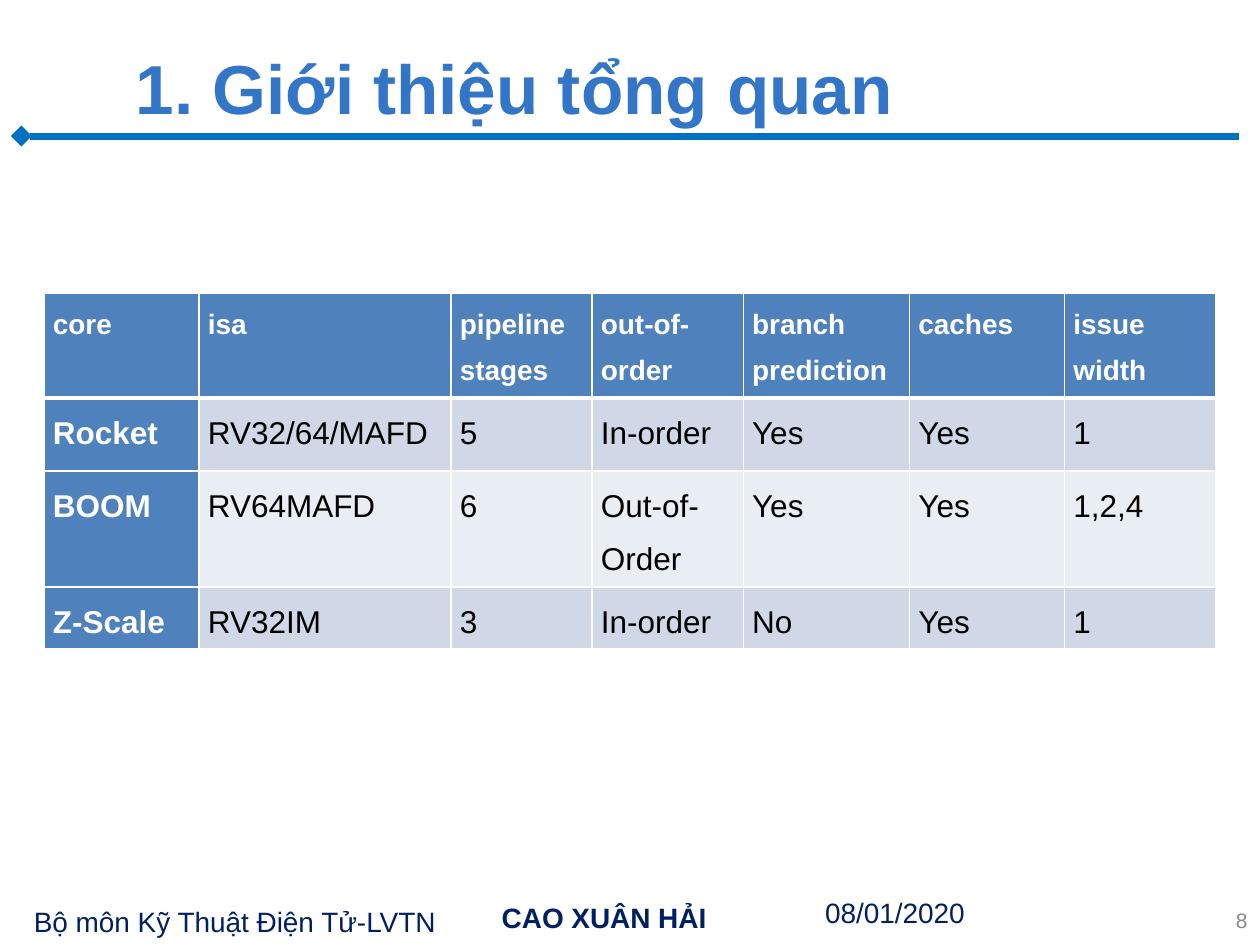
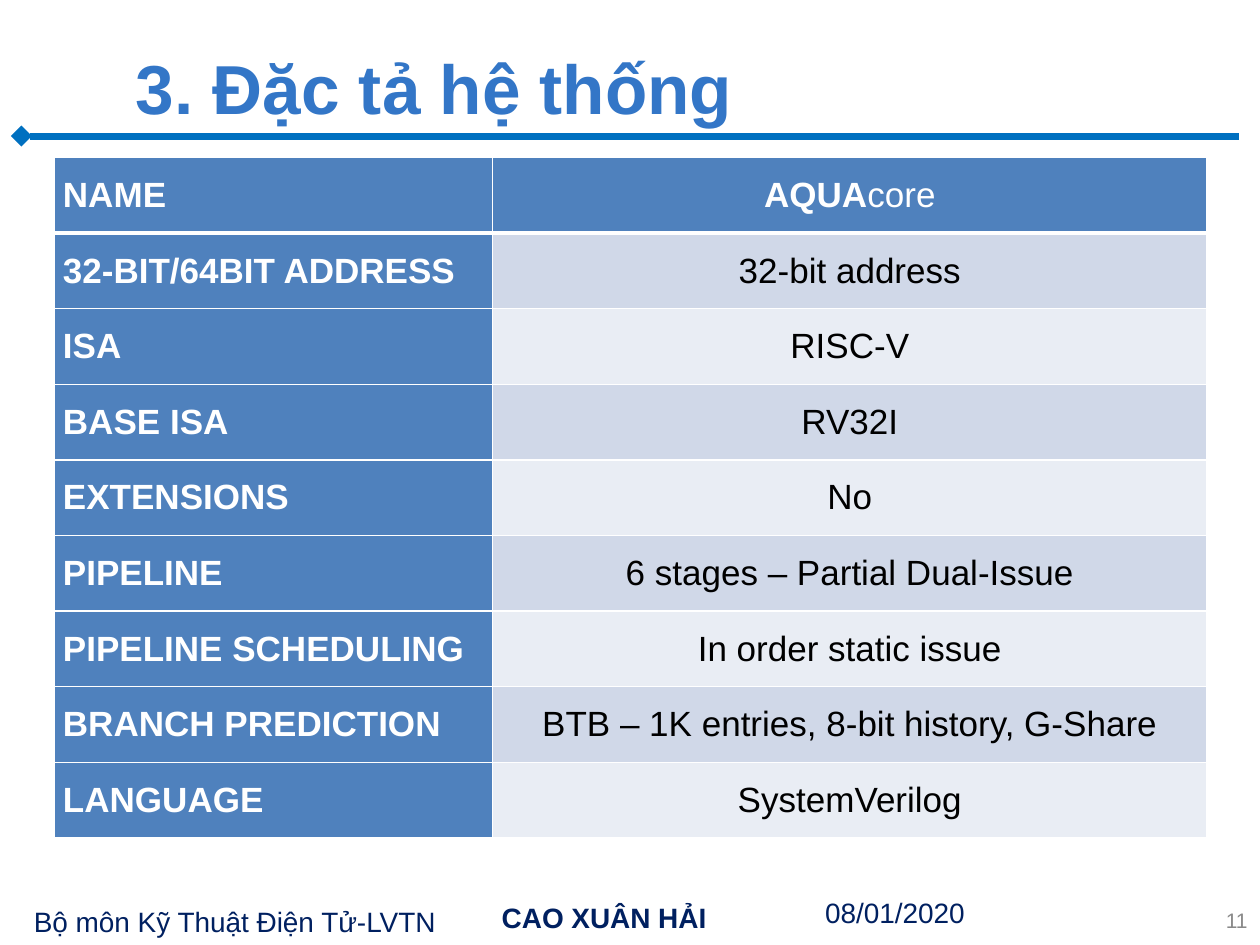
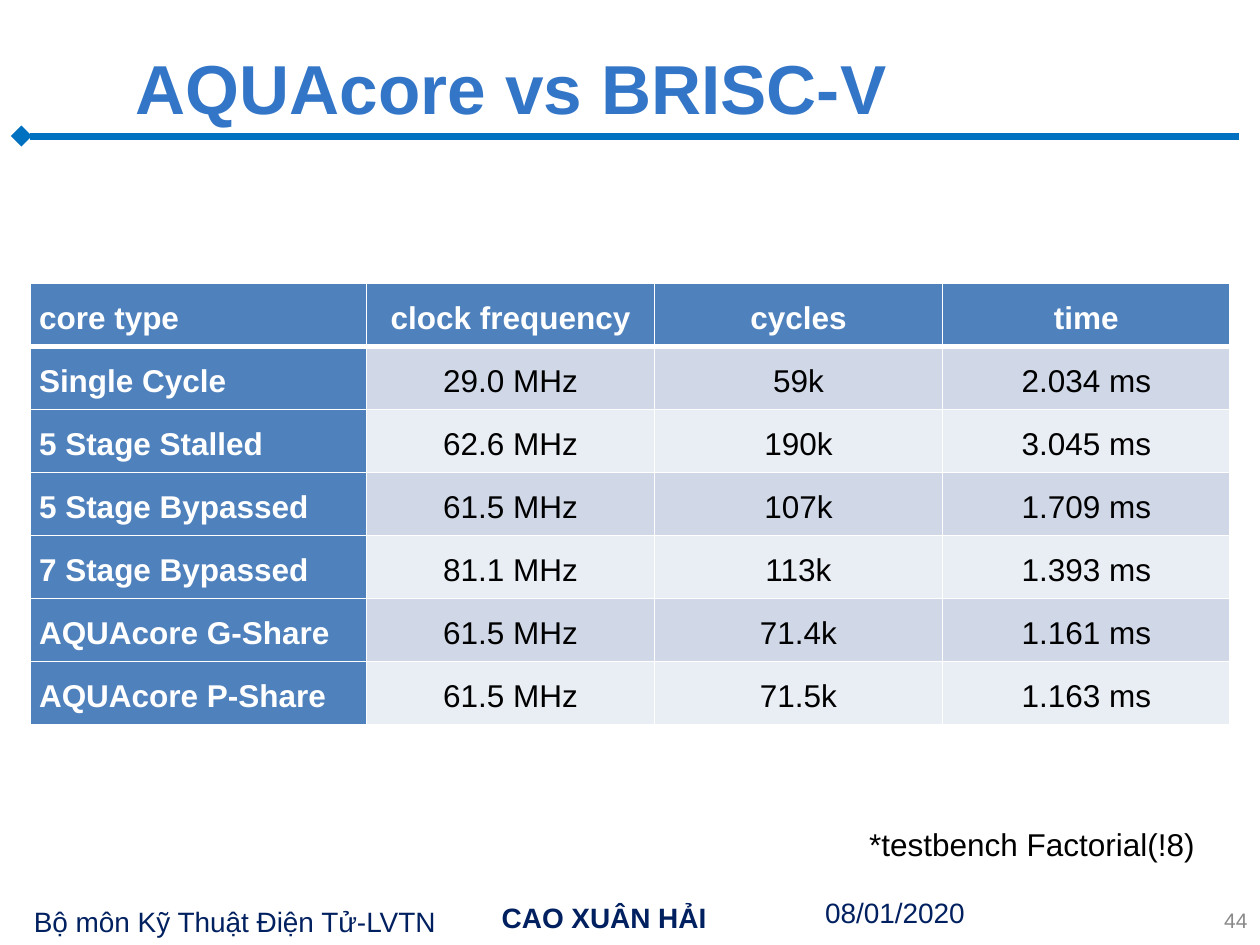
import dataclasses

import lxml.etree
import pptx
import pptx.dml.color
import pptx.enum.shapes
import pptx.enum.text
import pptx.oxml.ns
import pptx.util

ALIGN = pptx.enum.text.PP_ALIGN
ANCHOR = pptx.enum.text.MSO_ANCHOR
FIT = pptx.enum.text.MSO_AUTO_SIZE


@dataclasses.dataclass(frozen=True)
class Theme:
    font: str = "Arial"
    title: str = "3376C7"
    rule: str = "0070C0"
    footer: str = "002060"
    number: str = "898989"
    header: str = "4F81BD"
    bands: tuple = ("D0D8E8", "E9EDF4")
    light: str = "FFFFFF"
    dark: str = "000000"
    title_size: float = 39.6
    footer_size: int = 16
    number_size: int = 12
    small_cell: int = 16
    cell: int = 18
    large_cell: int = 20
    rule_width: int = 4
    border: int = 1
    header_border: int = 3


def rgb(value):
    return pptx.dml.color.RGBColor.from_string(value)


def add_xml(parent, tag, **attributes):
    return lxml.etree.SubElement(parent, pptx.oxml.ns.qn(tag), **attributes)


class Deck:
    """Holds the theme and the current slide; lengths are cells of a 40 x 30 grid."""

    COLUMNS, ROWS = 40, 30

    def __init__(self, theme):
        self.theme = theme
        self.file = pptx.Presentation()
        self.file.slide_width = pptx.util.Inches(10)
        self.file.slide_height = pptx.util.Inches(7.5)
        self.slide = None

    def x(self, columns):
        return round(self.file.slide_width * columns / self.COLUMNS)

    def y(self, rows):
        return round(self.file.slide_height * rows / self.ROWS)

    def add_slide(self, title, title_width, number):
        theme = self.theme
        self.slide = self.file.slides.add_slide(self.file.slide_layouts[6])
        self.rule(0.68, 39.32, 4.32)
        footers = (
            ("CAO XUÂN HẢI", (15.12, 28.4, 8.12, 1.48), ALIGN.CENTER, True),
            ("Bộ môn Kỹ Thuật Điện Tử-LVTN", (0.68, 28.52, 13.68, 1.48), ALIGN.LEFT, False),
            ("08/01/2020", (25.8, 28.24, 12, 1.48), ALIGN.LEFT, False),
        )
        for words, area, align, bold in footers:
            self.text(words, area, theme.footer_size, theme.footer, bold, align, grow=True)
        self.text(title, (3.92, 1.28, title_width, 2.96), theme.title_size, theme.title,
                  bold=True, anchor=ANCHOR.MIDDLE)
        self.text(str(number), (30.68, 28.4, 9.32, 1.6), theme.number_size, theme.number,
                  align=ALIGN.RIGHT, anchor=ANCHOR.MIDDLE)

    def rule(self, start, end, row):
        line = self.slide.shapes.add_connector(
            pptx.enum.shapes.MSO_CONNECTOR.STRAIGHT,
            self.x(start), self.y(row), self.x(end), self.y(row))
        line.line.color.rgb = rgb(self.theme.rule)
        line.line.width = pptx.util.Pt(self.theme.rule_width)
        add_xml(line.line._get_or_add_ln(), "a:headEnd", type="diamond")
        add_xml(line._element.spPr, "a:effectLst")

    def add_run(self, paragraph, words, size, colour, bold):
        run = paragraph.add_run()
        run.text = words
        run.font.name = self.theme.font
        run.font.size = pptx.util.Pt(size)
        run.font.bold = bold
        run.font.color.rgb = rgb(colour)

    def text(self, words, area, size, colour, bold=False, align=ALIGN.LEFT,
             anchor=ANCHOR.TOP, grow=False, wrap=True):
        left, top, width, height = area
        frame = self.slide.shapes.add_textbox(
            self.x(left), self.y(top), self.x(width), self.y(height)).text_frame
        frame.word_wrap = wrap
        frame.auto_size = FIT.SHAPE_TO_FIT_TEXT if grow else FIT.NONE
        frame.vertical_anchor = anchor
        paragraph = frame.paragraphs[0]
        paragraph.alignment = align
        self.add_run(paragraph, words, size, colour, bold)

    def table(self, left, top, widths, heights, records, size, header_size=None,
              first_align=ALIGN.JUSTIFY, align=ALIGN.CENTER, anchor=ANCHOR.TOP, spacing=1.5):
        """Draws records with a coloured first row and column and banded values."""
        theme = self.theme
        grid = self.slide.shapes.add_table(
            len(heights), len(widths), self.x(left), self.y(top),
            self.x(sum(widths)), self.y(sum(heights))).table
        grid.horz_banding = False
        for column, width in zip(grid.columns, widths):
            column.width = self.x(width)
        for row, height in zip(grid.rows, heights):
            row.height = self.y(height)
        for r, record in enumerate(records):
            for c, content in enumerate(record):
                cell = grid.cell(r, c)
                heading = r == 0 or c == 0
                self.borders(cell, r)
                cell.fill.solid()
                cell.fill.fore_color.rgb = rgb(
                    theme.header if heading else theme.bands[(r - 1) % 2])
                cell.margin_left = cell.margin_right = pptx.util.Inches(0.07)
                cell.margin_top = cell.margin_bottom = 0
                cell.vertical_anchor = anchor
                paragraph = cell.text_frame.paragraphs[0]
                paragraph.alignment = first_align if c == 0 else align
                paragraph.line_spacing = spacing
                runs = [(content, heading)] if isinstance(content, str) else content
                for words, bold in runs:
                    self.add_run(paragraph, words, (header_size or size) if r == 0 else size,
                                 theme.light if heading else theme.dark, bold)

    def borders(self, cell, row):
        theme = self.theme
        heavy = {(0, "B"), (1, "T")}
        for side in "LRTB":
            points = theme.header_border if (row, side) in heavy else theme.border
            edge = add_xml(cell._tc.get_or_add_tcPr(), f"a:ln{side}",
                           w=str(pptx.util.Pt(points)))
            add_xml(add_xml(edge, "a:solidFill"), "a:srgbClr", val=theme.light)


RISCV_CORES = (
    ("core", "isa", "pipeline stages", "out-of-order", "branch prediction", "caches",
     "issue width"),
    ("Rocket", "RV32/64/MAFD", "5", "In-order", "Yes", "Yes", "1"),
    ("BOOM", "RV64MAFD", "6", "Out-of-Order", "Yes", "Yes", "1,2,4"),
    ("Z-Scale", "RV32IM", "3", "In-order", "No", "Yes", "1"),
)

AQUACORE_FEATURES = (
    ("NAME", (("AQUA", True), ("core", False))),
    ("32-BIT/64BIT ADDRESS", "32-bit address"),
    ("ISA", "RISC-V"),
    ("BASE ISA", "RV32I"),
    ("EXTENSIONS", "No"),
    ("PIPELINE", "6 stages – Partial Dual-Issue"),
    ("PIPELINE SCHEDULING", "In order static issue"),
    ("BRANCH PREDICTION", "BTB – 1K entries, 8-bit history, G-Share"),
    ("LANGUAGE", "SystemVerilog"),
)

BENCHMARK = (
    ("core type", "clock frequency", "cycles", "time"),
    ("Single Cycle", "29.0 MHz", "59k", "2.034 ms"),
    ("5 Stage Stalled", "62.6 MHz", "190k", "3.045 ms"),
    ("5 Stage Bypassed", "61.5 MHz", "107k", "1.709 ms"),
    ("7 Stage Bypassed", "81.1 MHz", "113k", "1.393 ms"),
    ("AQUAcore G-Share", "61.5 MHz", "71.4k", "1.161 ms"),
    ("AQUAcore P-Share", "61.5 MHz", "71.5k", "1.163 ms"),
)


def main():
    theme = Theme()
    deck = Deck(theme)

    deck.add_slide("1. Giới thiệu tổng quan", 28.76, 8)
    deck.table(1.4, 9.32, (4.92, 8, 4.48, 4.8, 5.28, 4.92, 4.8), (3.32, 2.32, 3.68, 1.96),
               RISCV_CORES, theme.cell, header_size=theme.small_cell, align=ALIGN.JUSTIFY)

    deck.add_slide("3. Đặc tả hệ thống", 36.08, 11)
    deck.table(1.72, 5, (13.92, 22.68), [2.4] * len(AQUACORE_FEATURES), AQUACORE_FEATURES,
               theme.large_cell, first_align=ALIGN.LEFT, anchor=ANCHOR.MIDDLE, spacing=1.0)

    deck.add_slide("AQUAcore vs BRISC-V", 27.44, 44)
    deck.table(0.96, 9, [10.68] + [9.14] * 3, [2] * len(BENCHMARK), BENCHMARK, theme.cell)
    deck.text("*testbench Factorial(!8)", (27.2, 26, 11.24, 1.6), theme.cell, theme.dark,
              grow=True, wrap=False)

    deck.file.save("out.pptx")


if __name__ == "__main__":
    main()
